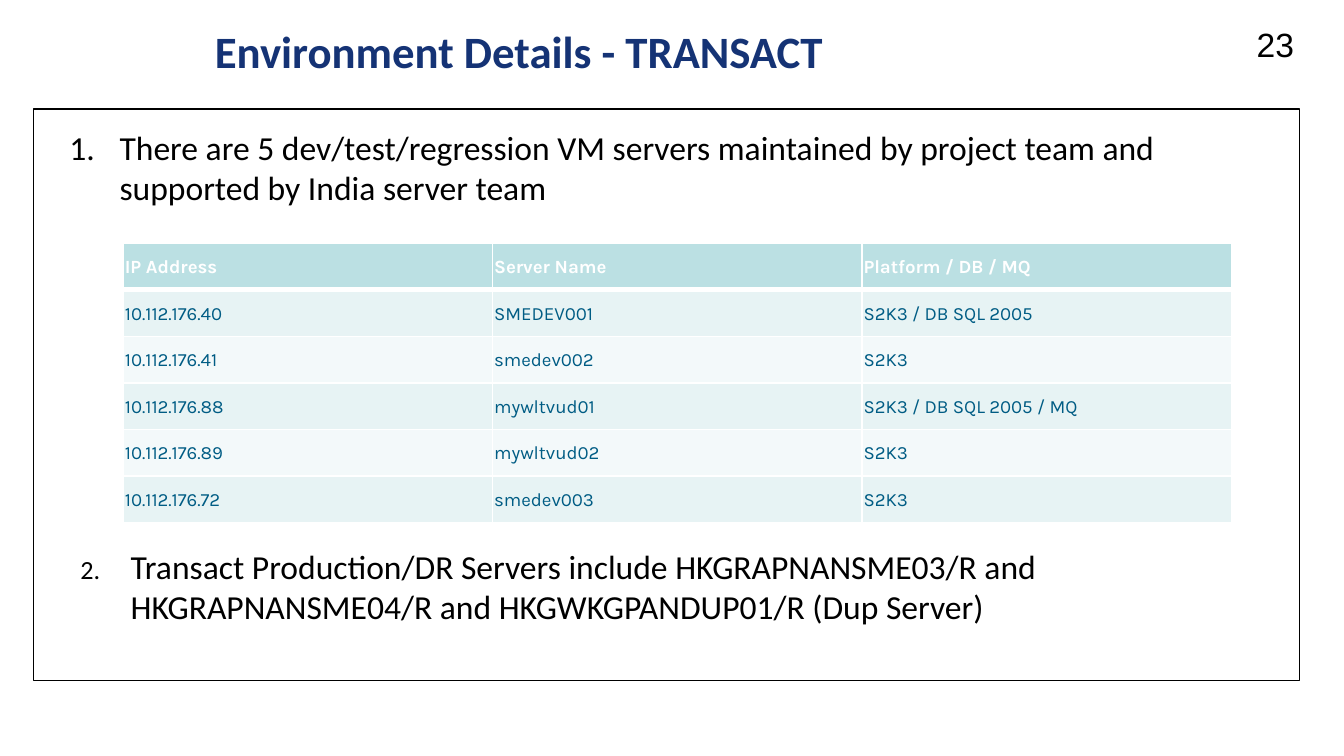
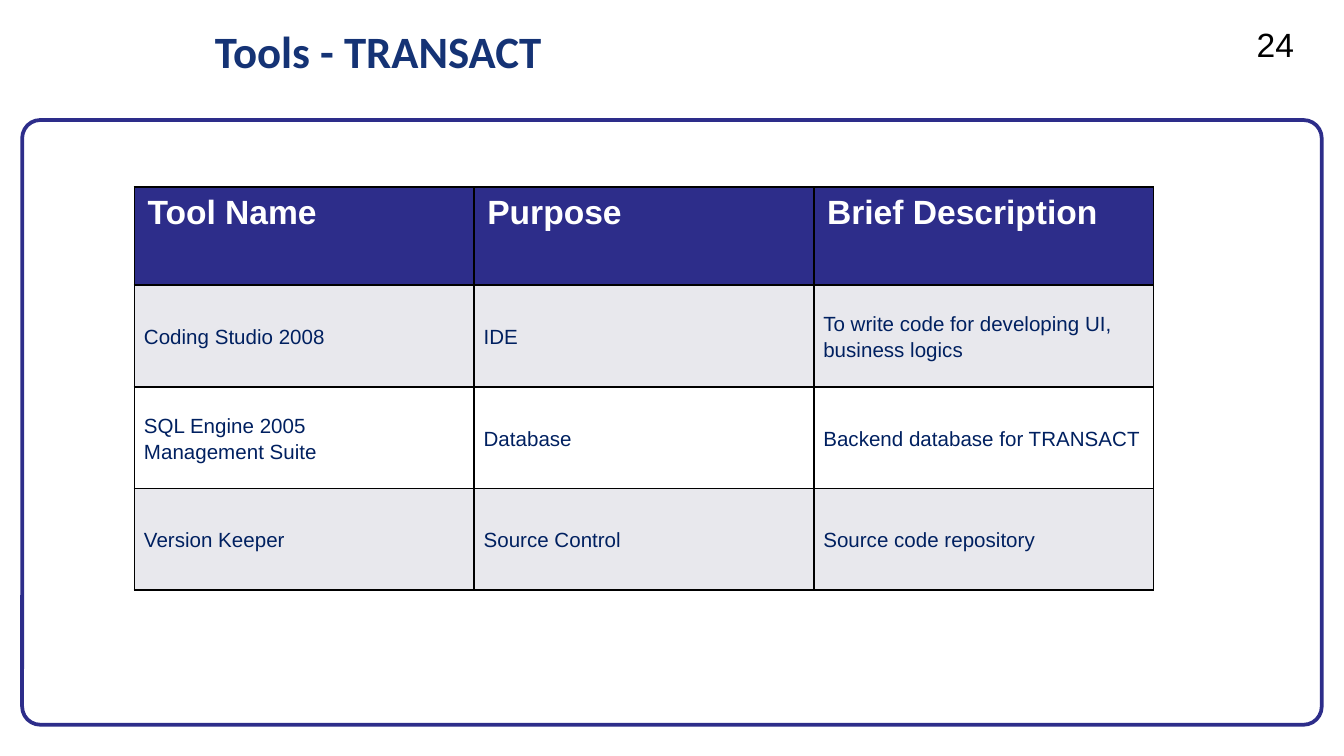
from lxml import etree
from pptx import Presentation
from pptx import util as u
from pptx.dml.color import RGBColor
from pptx.enum import shapes, text
from pptx.oxml.ns import qn

COLORS = {
    "black": "000000",
    "white": "FFFFFF",
    "title": "153375",
    "indigo": "2D2D8A",
    "lavender": "E8E8ED",
    "navy": "002060",
    "aqua": "BBE0E3",
    "aqua_light": "E7F3F4",
    "aqua_pale": "F3F9FA",
    "teal": "005C84",
}

SERVERS = [
    ["IP Address", "Server Name", "Platform / DB / MQ"],
    ["10.112.176.40", "SMEDEV001", "S2K3 / DB SQL 2005"],
    ["10.112.176.41", "smedev002", "S2K3"],
    ["10.112.176.88", "mywltvud01", "S2K3 / DB SQL 2005 / MQ"],
    ["10.112.176.89", "mywltvud02", "S2K3"],
    ["10.112.176.72", "smedev003", "S2K3"],
]

TOOLS = [
    ["Tool Name", "Purpose", "Brief Description"],
    ["Coding Studio 2008", "IDE", "To write code for developing UI, business logics"],
    ["SQL Engine 2005\nManagement Suite", "Database", "Backend database for TRANSACT"],
    ["Version Keeper", "Source Control", "Source code repository"],
]

SERVER_STYLE = {
    "font": "Karla",
    "sizes": (10, 10),
    "inks": ("white", "teal"),
    "fills": ("aqua", "aqua_light", "aqua_pale"),
    "border": "white",
    "header_rule": 3,
    "margins": ((0.03, 0.03, 0.03, 0), (0.03, 0.03, 0.03, 0)),
    "anchors": (text.MSO_ANCHOR.MIDDLE, text.MSO_ANCHOR.MIDDLE),
    "spacing": 1.0,
}

TOOL_STYLE = {
    "font": "Arial",
    "sizes": (18, 11),
    "inks": ("white", "navy"),
    "fills": ("indigo", "lavender", "white"),
    "border": "black",
    "header_rule": 1,
    "margins": ((0.25, 0.13, 0.25, 0.13), (0.18, 0, 0.18, 0)),
    "anchors": (text.MSO_ANCHOR.TOP, text.MSO_ANCHOR.MIDDLE),
    "spacing": 1.15,
}


def color(name):
    return RGBColor.from_string(COLORS[name])


class Deck:
    def __init__(self):
        self.presentation = Presentation()
        self.presentation.slide_width = u.Cm(25.4)
        self.presentation.slide_height = u.Cm(14.29)
        self.slide = None

    def new_slide(self, title, title_width, number):
        self.slide = self.presentation.slides.add_slide(self.presentation.slide_layouts[6])
        self.label(str(number), (23.5, 0.32, 1.48, 1.02), "Arial", 18, "black")
        self.label(title, (3.81, 0.32, title_width, 1.11), "Calibri", 24, "title", True)

    def format(self, text_frame, font, size, ink, bold=False):
        for paragraph in text_frame.paragraphs:
            for run in paragraph.runs:
                run.font.name = font
                run.font.size = u.Pt(size)
                run.font.bold = bold
                run.font.color.rgb = color(ink)

    def label(self, words, box, font, size, ink, bold=False):
        shape = self.slide.shapes.add_textbox(*map(u.Cm, box))
        shape.text_frame.word_wrap = True
        shape.text_frame.text = words
        self.format(shape.text_frame, font, size, ink, bold)
        return shape

    def numbered(self, words, box, start, number_font="Calibri", number_scale=100):
        shape = self.label(words, box, "Calibri", 18, "black")
        properties = shape.text_frame.paragraphs[0]._p.get_or_add_pPr()
        properties.set("marL", str(u.Cm(0.95)))
        properties.set("indent", str(u.Cm(-0.95)))
        etree.SubElement(properties, qn("a:buSzPct"), val=str(number_scale * 1000))
        etree.SubElement(properties, qn("a:buFont"), typeface=number_font)
        etree.SubElement(properties, qn("a:buAutoNum"), type="arabicPeriod", startAt=str(start))

    def frame(self, kind, box, line, width, fill=None, radius=None):
        shape = self.slide.shapes.add_shape(kind, *map(u.Cm, box))
        shape.shadow.inherit = False
        if radius is not None:
            shape.adjustments[0] = radius
        if fill:
            shape.fill.solid()
            shape.fill.fore_color.rgb = color(fill)
        else:
            shape.fill.background()
        shape.line.color.rgb = color(line)
        shape.line.width = u.Pt(width)

    def borders(self, cell, ink, widths):
        properties = cell._tc.get_or_add_tcPr()
        for side, width in zip("LRTB", widths):
            line = etree.SubElement(properties, qn(f"a:ln{side}"), w=str(u.Pt(width)))
            fill = etree.SubElement(line, qn("a:solidFill"))
            etree.SubElement(fill, qn("a:srgbClr"), val=COLORS[ink])

    def table(self, rows, left, top, column_width, row_heights, style):
        width = column_width * len(rows[0])
        box = (left, top, width, sum(row_heights))
        table = self.slide.shapes.add_table(len(rows), len(rows[0]), *map(u.Cm, box)).table
        table.first_row = table.horz_banding = False
        for column in table.columns:
            column.width = u.Cm(column_width)
        for index, (row, height) in enumerate(zip(rows, row_heights)):
            table.rows[index].height = u.Cm(height)
            for position, words in enumerate(row):
                self.cell(table.cell(index, position), words, index, style)

    def cell(self, cell, words, index, style):
        body = min(index, 1)
        top = style["header_rule"] if index == 1 else 1
        bottom = style["header_rule"] if index == 0 else 1
        self.borders(cell, style["border"], (1, 1, top, bottom))
        cell.fill.solid()
        cell.fill.fore_color.rgb = color(style["fills"][0 if index == 0 else 2 - index % 2])
        cell.vertical_anchor = style["anchors"][body]
        margins = map(u.Cm, style["margins"][body])
        cell.margin_left, cell.margin_top, cell.margin_right, cell.margin_bottom = margins
        cell.text_frame.text = words
        self.format(cell.text_frame, style["font"], style["sizes"][body],
                    style["inks"][body], index == 0)
        if body:
            for paragraph in cell.text_frame.paragraphs:
                paragraph.line_spacing = style["spacing"]


def environment_slide(deck):
    deck.new_slide("Environment Details - TRANSACT", 15.88, 23)
    deck.numbered("There are 5 dev/test/regression VM servers maintained by project team "
                  "and supported by India server team", (1.06, 2.27, 22.66, 1.8), 1)
    deck.table(SERVERS, 2.33, 4.6, 6.98, [0.88] * len(SERVERS), SERVER_STYLE)
    deck.numbered("Transact Production/DR Servers include HKGRAPNANSME03/R and "
                  "HKGRAPNANSME04/R and HKGWKGPANDUP01/R (Dup Server)",
                  (1.27, 10.19, 22.66, 1.8), 2, "Arial", 78)
    deck.frame(shapes.MSO_SHAPE.RECTANGLE, (0.64, 2.06, 23.92, 10.8), "black", 0.75)


def tools_slide(deck):
    deck.new_slide("Tools - TRANSACT", 9.53, 24)
    deck.frame(shapes.MSO_SHAPE.ROUNDED_RECTANGLE, (0.42, 2.27, 24.56, 11.43),
               "indigo", 2, "white", 0.03)
    deck.table(TOOLS, 2.54, 3.54, 6.42, [1.85] + [1.92] * 3, TOOL_STYLE)


def main():
    deck = Deck()
    environment_slide(deck)
    tools_slide(deck)
    deck.presentation.save("out.pptx")


if __name__ == "__main__":
    main()
